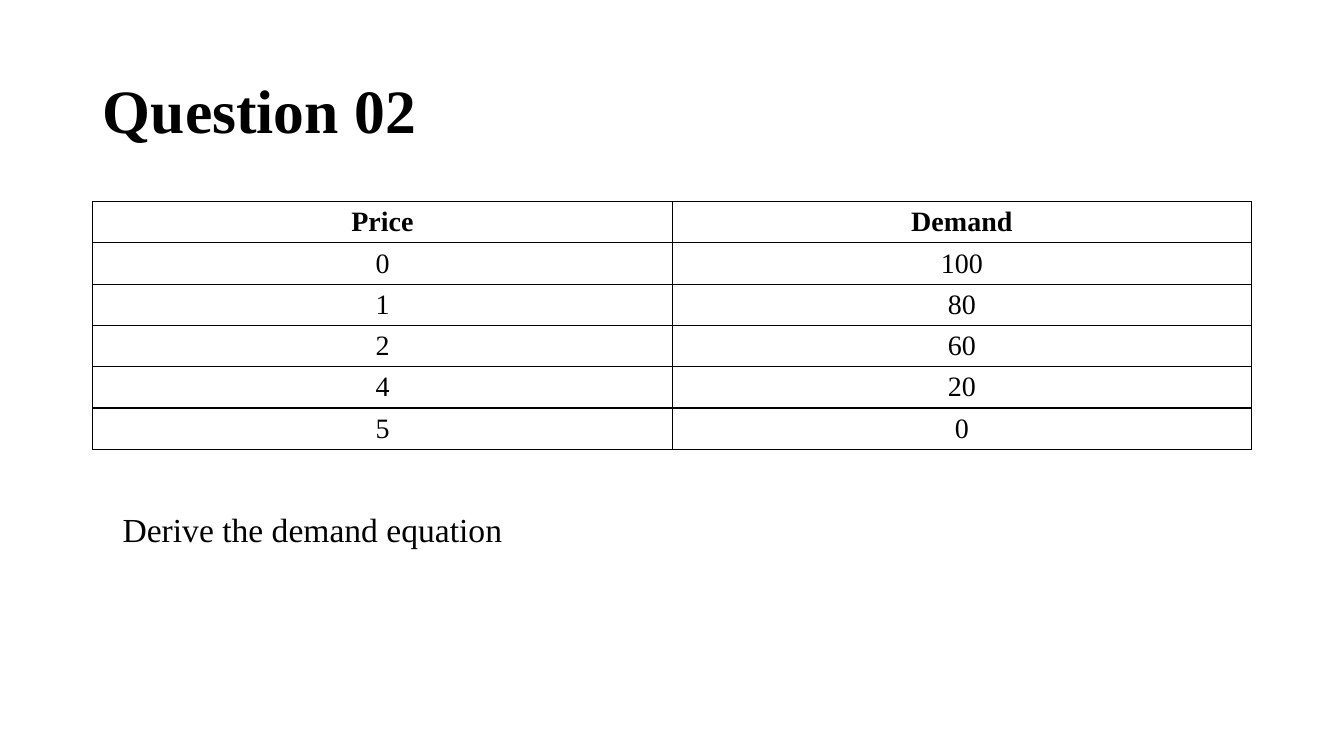
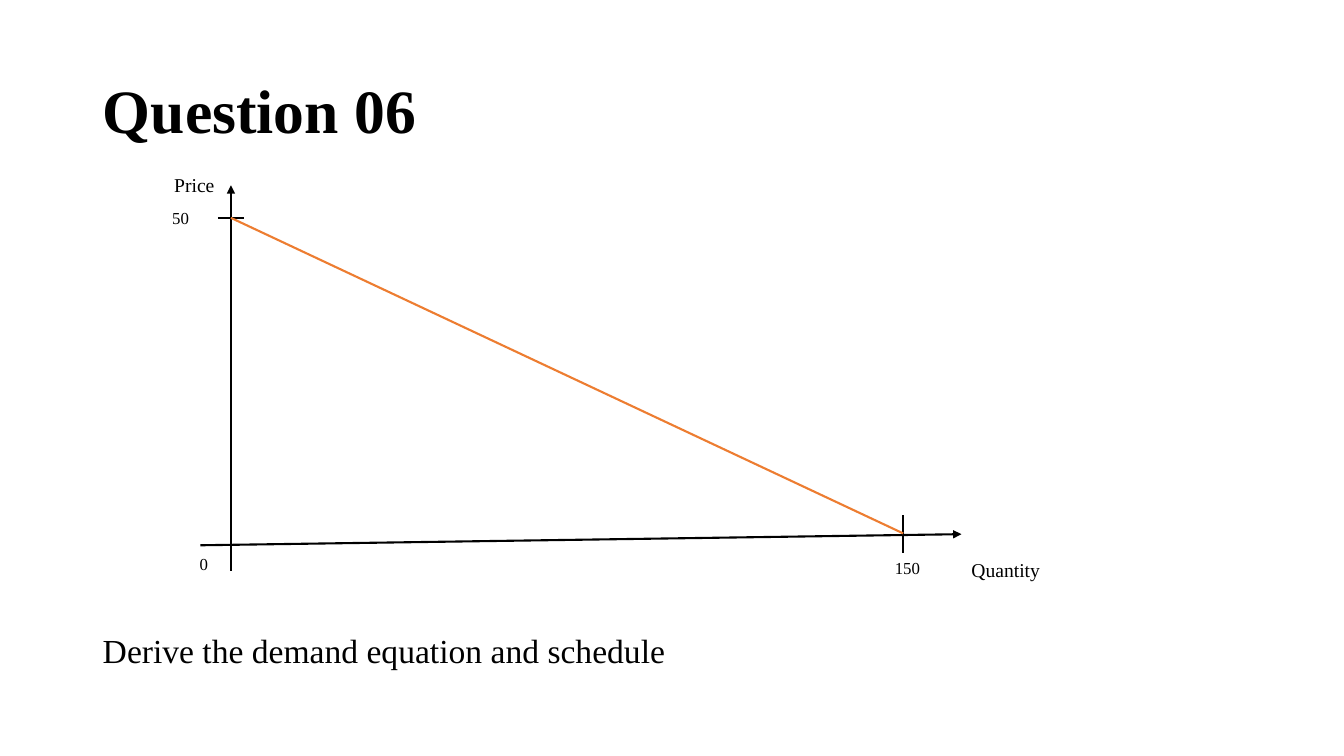
import pptx
import pptx.util
import pptx.dml.color
import pptx.enum.shapes
import pptx.enum.text
import pptx.oxml
import pptx.oxml.ns
from lxml import etree

Cm = pptx.util.Cm
Pt = pptx.util.Pt
Anchor = pptx.enum.text.MSO_ANCHOR
Align = pptx.enum.text.PP_ALIGN

COLORS = {"ink": "000000", "paper": "FFFFFF", "curve": "ED7D31"}
FONT = "Times New Roman"
LEFT, WIDTH = 2.34, 29.2


def color(key):
    return pptx.dml.color.RGBColor.from_string(COLORS[key])


def apply(target, **values):
    for name, value in values.items():
        setattr(target, name, value)


class Deck:
    """Holds the shared style and the current slide."""

    def __init__(self):
        self.prs = pptx.Presentation()
        apply(self.prs, slide_width=Cm(33.87), slide_height=Cm(19.05))
        self.slide = None

    def text(self, frame, words, size, bold=False, align=Align.LEFT):
        para = frame.paragraphs[0]
        para.alignment = align
        run = para.add_run()
        run.text = words
        apply(run.font, name=FONT, size=Pt(size), bold=bold)
        run.font.color.rgb = color("ink")
        return para

    def page(self, title):
        self.slide = self.prs.slides.add_slide(self.prs.slide_layouts[5])
        fill = self.slide.background.fill
        fill.solid()
        fill.fore_color.rgb = color("paper")
        head = self.slide.shapes.title
        apply(head, left=Cm(LEFT), top=Cm(1.02),
              width=Cm(WIDTH), height=Cm(3.68))
        apply(head.text_frame, vertical_anchor=Anchor.MIDDLE, word_wrap=True,
              auto_size=pptx.enum.text.MSO_AUTO_SIZE.NONE)
        self.text(head.text_frame, title, 44, bold=True).line_spacing = 0.9

    def label(self, words, left, top, width, height, size):
        box = self.slide.shapes.add_textbox(
            Cm(left), Cm(top), Cm(width), Cm(height))
        box.text_frame.word_wrap = True
        self.text(box.text_frame, words, size)

    def line(self, start, end, key="ink", arrow=False):
        rule = self.slide.shapes.add_connector(
            pptx.enum.shapes.MSO_CONNECTOR.STRAIGHT,
            *[Cm(v) for v in start + end])
        rule.line.width = Pt(1.5)
        rule.line.color.rgb = color(key)
        props = rule._element.spPr
        if arrow:
            etree.SubElement(props.find(pptx.oxml.ns.qn("a:ln")),
                             pptx.oxml.ns.qn("a:tailEnd"), type="triangle")
        etree.SubElement(props, pptx.oxml.ns.qn("a:effectLst"))

    def border(self, cell):
        props = cell._tc.get_or_add_tcPr()
        for spot, side in enumerate("LRTB"):
            props.insert(spot, pptx.oxml.parse_xml(
                f'<a:ln{side} {pptx.oxml.ns.nsdecls("a")} w="{Pt(1)}">'
                f'<a:solidFill><a:srgbClr val="{COLORS["ink"]}"/>'
                f'</a:solidFill></a:ln{side}>'))

    def table(self, rows, top, step):
        count = len(rows[0])
        grid = self.slide.shapes.add_table(
            len(rows), count, Cm(LEFT), Cm(top),
            Cm(WIDTH), Cm(step * len(rows))).table
        apply(grid, first_row=False, horz_banding=False)
        for r, row in enumerate(rows):
            for c, words in enumerate(row):
                cell = grid.cell(r, c)
                apply(cell, margin_top=0, margin_bottom=0,
                      vertical_anchor=Anchor.MIDDLE)
                cell.fill.background()
                self.border(cell)
                self.text(cell.text_frame, words, 20,
                          bold=r == 0, align=Align.CENTER)


def main():
    deck = Deck()

    # Demand table
    deck.page("Question 02")
    deck.table([("Price", "Demand"), ("0", "100"), ("1", "80"),
                ("2", "60"), ("4", "20"), ("5", "0")], 5.08, 1.04)
    deck.label("Derive the demand equation", 2.84, 12.7, 10.6, 1.27, 24)

    # Demand graph: axes
    deck.page("Question 06")
    zero, high, far = 5.82, 5.49, 22.76
    deck.line((zero, 14.38), (zero, 4.67), arrow=True)
    deck.line((5.05, 13.74), (24.23, 13.46), arrow=True)
    deck.label("Price", 4.14, 4.24, 1.68, 0.86, 14)
    deck.label("Quantity", 24.23, 13.94, 3.28, 0.86, 14)

    # Ticks, their values and the demand curve
    deck.line((zero - 0.33, high), (zero + 0.33, high))
    deck.line((far, 12.98), (far, 13.94))
    for words, left, top, width in (("50", 4.09, 5.11, 1.37),
                                    ("150", 22.3, 13.94, 1.27),
                                    ("0", 4.78, 13.84, 0.94)):
        deck.label(words, left, top, width, 0.76, 12)
    deck.line((zero, high), (far, 13.44), key="curve")

    # Task
    deck.label("Derive the demand equation and schedule",
               LEFT, 15.75, 19.63, 1.27, 24)

    deck.prs.save("out.pptx")


if __name__ == "__main__":
    main()
